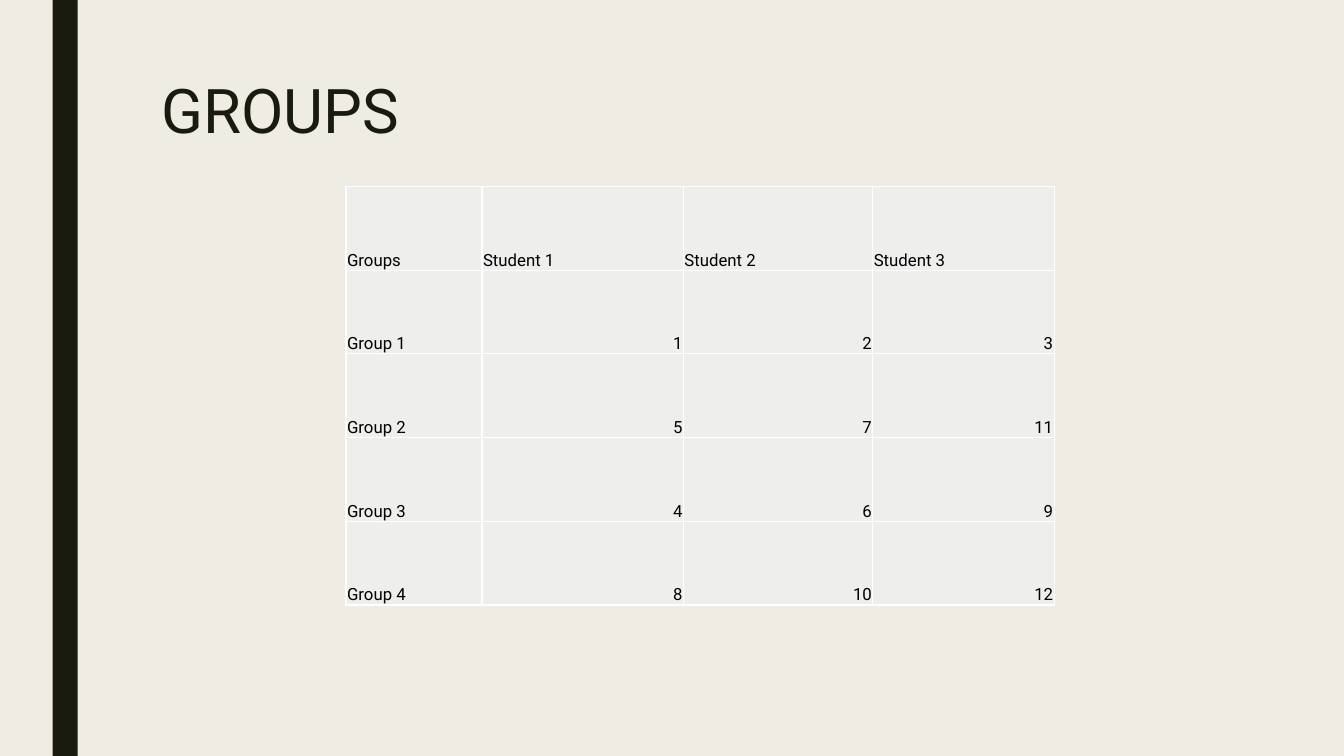
from dataclasses import dataclass

from lxml.etree import SubElement
from pptx import Presentation
from pptx.dml.color import RGBColor
from pptx.enum.shapes import MSO_SHAPE
from pptx.enum.text import MSO_ANCHOR, MSO_AUTO_SIZE, PP_ALIGN
from pptx.oxml.ns import qn
from pptx.util import Pt


@dataclass(frozen=True)
class Theme:
    background: str = "EFEDE3"
    dark: str = "191B0E"
    cell: str = "EEEEED"
    border: str = "FFFFFF"
    table_text: str = "000000"
    font: str = "Roboto"
    title_size: int = 44
    table_size: int = 12


@dataclass(frozen=True)
class Box:
    left: float
    top: float
    width: float
    height: float

    def in_points(self):
        return [Pt(length) for length in (self.left, self.top, self.width, self.height)]


THEME = Theme()
SLIDE_BOX = Box(0, 0, 960, 540)
STRIPE_BOX = Box(37.5, 0, 18, SLIDE_BOX.height)
TITLE_BOX = Box(108, 54, 756, 116.6)
TABLE_BOX = Box(247.2, 133.2, 505.8, 299)

COLUMN_SHARES = (1.35, 2, 1.88, 1.8)
GROUP_ROWS = (
    ("Groups", "Student 1", "Student 2", "Student 3"),
    ("Group 1", 1, 2, 3),
    ("Group 2", 5, 7, 11),
    ("Group 3", 4, 6, 9),
    ("Group 4", 8, 10, 12),
)


def paint(fill, color):
    fill.solid()
    fill.fore_color.rgb = RGBColor.from_string(color)


def add_run(paragraph, text, size, color):
    run = paragraph.add_run()
    run.text = text
    run.font.name = THEME.font
    run.font.size = Pt(size)
    run.font.bold = False
    run.font.color.rgb = RGBColor.from_string(color)


def add_stripe(slide, box):
    stripe = slide.shapes.add_shape(MSO_SHAPE.RECTANGLE, *box.in_points())
    stripe.shadow.inherit = False
    paint(stripe.fill, THEME.dark)
    stripe.line.fill.background()


def fill_title(slide, box, text):
    title = slide.shapes.title
    title.left, title.top, title.width, title.height = box.in_points()
    frame = title.text_frame
    frame.word_wrap = True
    frame.auto_size = MSO_AUTO_SIZE.NONE
    frame.vertical_anchor = MSO_ANCHOR.TOP
    paragraph = frame.paragraphs[0]
    paragraph.alignment = PP_ALIGN.LEFT
    paragraph.line_spacing = 0.89
    add_run(paragraph, text, THEME.title_size, THEME.dark)


def add_borders(cell):
    properties = cell._tc.get_or_add_tcPr()
    for side in ("a:lnL", "a:lnR", "a:lnT", "a:lnB"):
        line = SubElement(properties, qn(side), w=str(Pt(1)))
        solid_fill = SubElement(line, qn("a:solidFill"))
        SubElement(solid_fill, qn("a:srgbClr"), val=THEME.border)


def fill_cell(cell, value):
    """Numbers go to the right, words to the left."""
    cell.margin_left = cell.margin_right = cell.margin_top = Pt(0.7)
    cell.margin_bottom = Pt(0)
    cell.vertical_anchor = MSO_ANCHOR.BOTTOM
    add_borders(cell)
    paint(cell.fill, THEME.cell)
    paragraph = cell.text_frame.paragraphs[0]
    paragraph.alignment = PP_ALIGN.RIGHT if isinstance(value, int) else PP_ALIGN.LEFT
    add_run(paragraph, str(value), THEME.table_size, THEME.table_text)


def add_group_table(slide, box, rows):
    table = slide.shapes.add_table(len(rows), len(rows[0]), *box.in_points()).table
    table.first_row = table.horz_banding = False
    for column, share in zip(table.columns, COLUMN_SHARES):
        column.width = Pt(box.width * share / sum(COLUMN_SHARES))
    for row, values in zip(table.rows, rows):
        row.height = Pt(box.height / len(rows))
        for cell, value in zip(row.cells, values):
            fill_cell(cell, value)


def build_groups_slide(presentation):
    slide = presentation.slides.add_slide(presentation.slide_layouts.get_by_name("Title Only"))
    paint(slide.background.fill, THEME.background)
    add_stripe(slide, STRIPE_BOX)
    fill_title(slide, TITLE_BOX, "GROUPS")
    add_group_table(slide, TABLE_BOX, GROUP_ROWS)


def main():
    presentation = Presentation()
    presentation.slide_width = Pt(SLIDE_BOX.width)
    presentation.slide_height = Pt(SLIDE_BOX.height)
    build_groups_slide(presentation)
    presentation.save("out.pptx")


if __name__ == "__main__":
    main()
